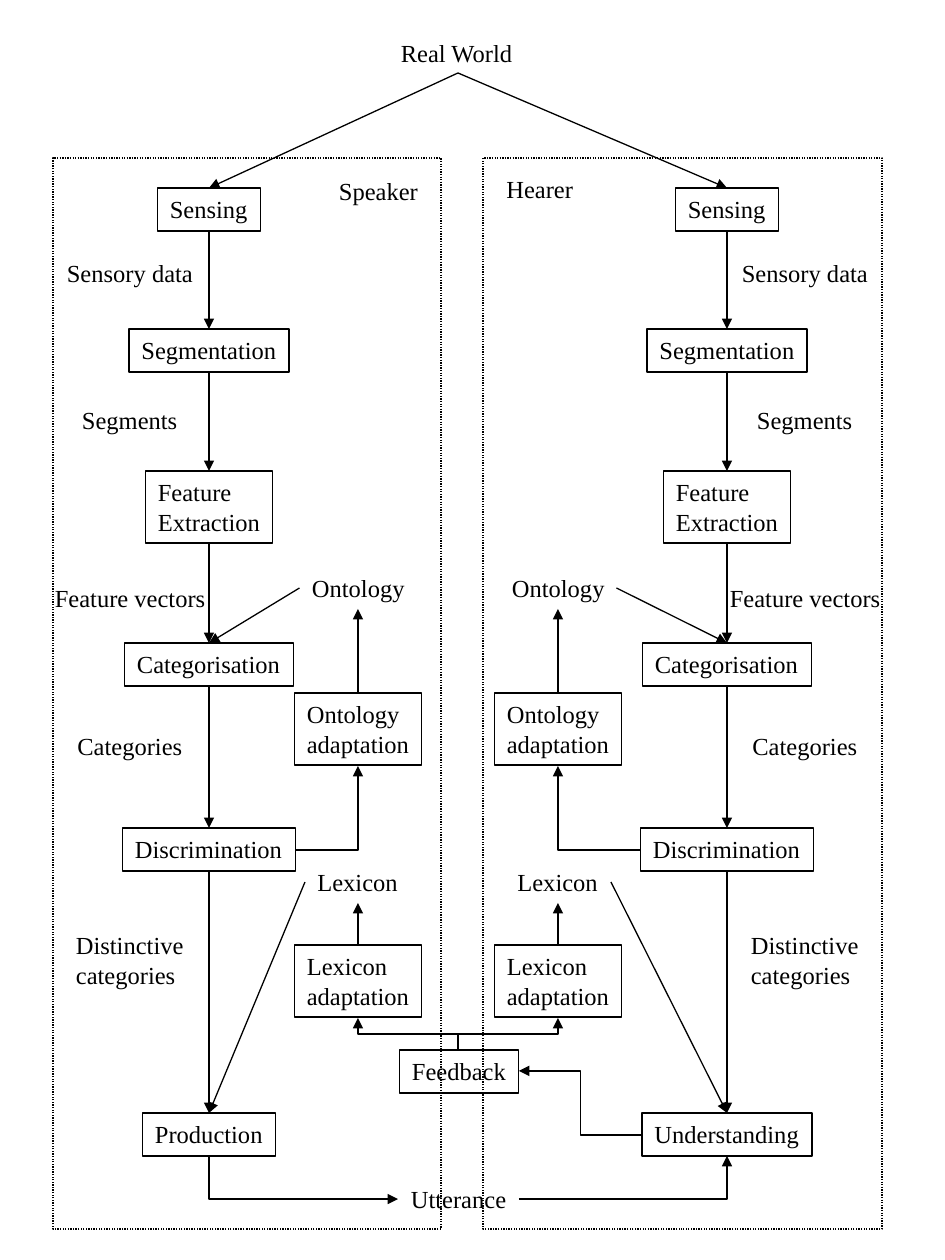
from collections import namedtuple

from pptx import Presentation
from pptx.dml.color import RGBColor
from pptx.enum.dml import MSO_LINE
from pptx.enum.shapes import MSO_CONNECTOR, MSO_SHAPE
from pptx.enum.text import MSO_ANCHOR, MSO_AUTO_SIZE, PP_ALIGN
from pptx.oxml.ns import qn
from pptx.oxml.xmlchemy import OxmlElement
from pptx.util import Pt

RECT = MSO_SHAPE.RECTANGLE
STRAIGHT, ELBOW = MSO_CONNECTOR.STRAIGHT, MSO_CONNECTOR.ELBOW
DOTTED = MSO_LINE.ROUND_DOT
BLACK = RGBColor(0, 0, 0)
FONT = {"name": "Times New Roman", "size": Pt(14)}
# The right margin is a little narrower so that every word stays on its line
FRAME_TEXT = {"word_wrap": False, "vertical_anchor": MSO_ANCHOR.TOP,
              "auto_size": MSO_AUTO_SIZE.SHAPE_TO_FIT_TEXT,
              "margin_right": Pt(5)}
PX_PER_INCH = 126
ONE_LINE, TWO_LINES = 43, 72
CENTRE = 458

# inward is +1 where the middle of the slide lies to the right of the main chain
Agent = namedtuple("Agent", "chain_x label_x side_x inward last_step last_width")
SPEAKER = Agent(209, 130, 358, 1, "Production", 133)
HEARER = Agent(727, 805, 558, -1, "Understanding", 170)

# text, top, width
STEPS = [
    ("Sensing", 188, 103),
    ("Segmentation", 329, 160),
    ("Feature\nExtraction", 471, 127),
    ("Categorisation", 643, 169),
    ("Discrimination", 828, 173),
]
LAST_TOP = 1113
DATA_LABELS = [
    ("Sensory data", 252, 151),
    ("Segments", 399, 121),
    ("Feature vectors", 577, 175),
    ("Categories", 725, 130),
    ("Distinctive\ncategories", 924, 133),
]
# name, top, width, top of its adaptation box, top of the step it feeds
STORES = [
    ("Ontology", 567, 117, 693, 643),
    ("Lexicon", 861, 106, 945, LAST_TOP),
]


def px(value):
    return round(value * 914400 / PX_PER_INCH)


def height_of(text):
    return TWO_LINES if "\n" in text else ONE_LINE


def set_line(shape):
    shape.line.color.rgb = BLACK
    shape.line.width = Pt(0.75)


def add_rect(slide, left, top, width, height):
    rect = slide.shapes.add_shape(RECT, px(left), px(top), px(width), px(height))
    rect.shadow.inherit = False
    rect.fill.background()
    set_line(rect)
    return rect


def write(shape, text):
    frame = shape.text_frame
    for name, value in FRAME_TEXT.items():
        setattr(frame, name, value)
    frame.text = text
    for paragraph in frame.paragraphs:
        paragraph.alignment = PP_ALIGN.LEFT
        for name, value in FONT.items():
            setattr(paragraph.font, name, value)
        paragraph.font.color.rgb = BLACK


def add_box(slide, text, centre, top, width):
    box = add_rect(slide, centre - width / 2, top, width, height_of(text))
    write(box, text)


def add_label(slide, text, centre, top, width):
    label = slide.shapes.add_textbox(px(centre - width / 2), px(top),
                                     px(width), px(height_of(text)))
    write(label, text)


def add_arrow(slide, start, end, kind=STRAIGHT):
    arrow = slide.shapes.add_connector(kind, *map(px, (*start, *end)))
    set_line(arrow)
    head = OxmlElement("a:tailEnd")
    head.set("type", "triangle")
    arrow.line._get_or_add_ln().append(head)
    properties = arrow._element.spPr
    properties.append(OxmlElement("a:effectLst"))
    return properties


def add_elbow(slide, start, end, bends=1, vertical_first=False):
    if vertical_first:
        # Lay the path out a quarter turn back, then rotate it about its centre
        (x1, y1), (x2, y2) = start, end
        mid_x, mid_y = (x1 + x2) / 2, (y1 + y2) / 2
        half_x, half_y = (y2 - y1) / 2, (x1 - x2) / 2
        start = mid_x - half_x, mid_y - half_y
        end = mid_x + half_x, mid_y + half_y
    properties = add_arrow(slide, start, end, ELBOW)
    properties.find(qn("a:prstGeom")).set("prst", f"bentConnector{bends + 1}")
    if vertical_first:
        properties.find(qn("a:xfrm")).set("rot", "5400000")


def add_agent(slide, agent):
    x, side_x, inward = agent.chain_x, agent.side_x, agent.inward

    # Main chain, fed by the real world
    tail = (CENTRE, 73)
    for text, top, width in STEPS + [(agent.last_step, LAST_TOP, agent.last_width)]:
        add_box(slide, text, x, top, width)
        add_arrow(slide, tail, (x, top))
        tail = (x, top + height_of(text))
    for text, top, width in DATA_LABELS:
        add_label(slide, text, agent.label_x, top, width)

    # Ontology and lexicon with their adaptation
    for name, top, width, adaptation_top, target_top in STORES:
        add_label(slide, name, side_x, top, width)
        add_box(slide, f"{name}\nadaptation", side_x, adaptation_top, 127)
        add_arrow(slide, (side_x, adaptation_top), (side_x, top + 42))
        add_arrow(slide, (side_x - inward * width / 2, top + 21), (x, target_top))

    # Discrimination drives ontology adaptation, feedback drives lexicon adaptation
    add_elbow(slide, (x + inward * 87, 850), (side_x, 766))
    add_elbow(slide, (CENTRE, 1050), (side_x, 1018), bends=2, vertical_first=True)


def main():
    prs = Presentation()
    prs.slide_width, prs.slide_height = px(945), px(1260)
    slide = prs.slides.add_slide(prs.slide_layouts[6])

    add_label(slide, "Real World", CENTRE, 32, 139)
    for agent in (SPEAKER, HEARER):
        add_agent(slide, agent)

    # Exchange between the agents
    add_box(slide, "Feedback", CENTRE + 1, 1050, 119)
    add_label(slide, "Utterance", CENTRE + 1, 1178, 121)
    add_elbow(slide, (SPEAKER.chain_x, 1156), (398, 1199), vertical_first=True)
    add_elbow(slide, (519, 1199), (HEARER.chain_x, 1156))
    add_elbow(slide, (642, 1135), (519, 1071), bends=2)

    # Dotted frames and their names
    for left, width in ((53, 388), (483, 399)):
        add_rect(slide, left, 158, width, 1071).line.dash_style = DOTTED
    add_label(slide, "Speaker", 379, 170, 105)
    add_label(slide, "Hearer", 540, 168, 92)

    prs.save("out.pptx")


if __name__ == "__main__":
    main()
